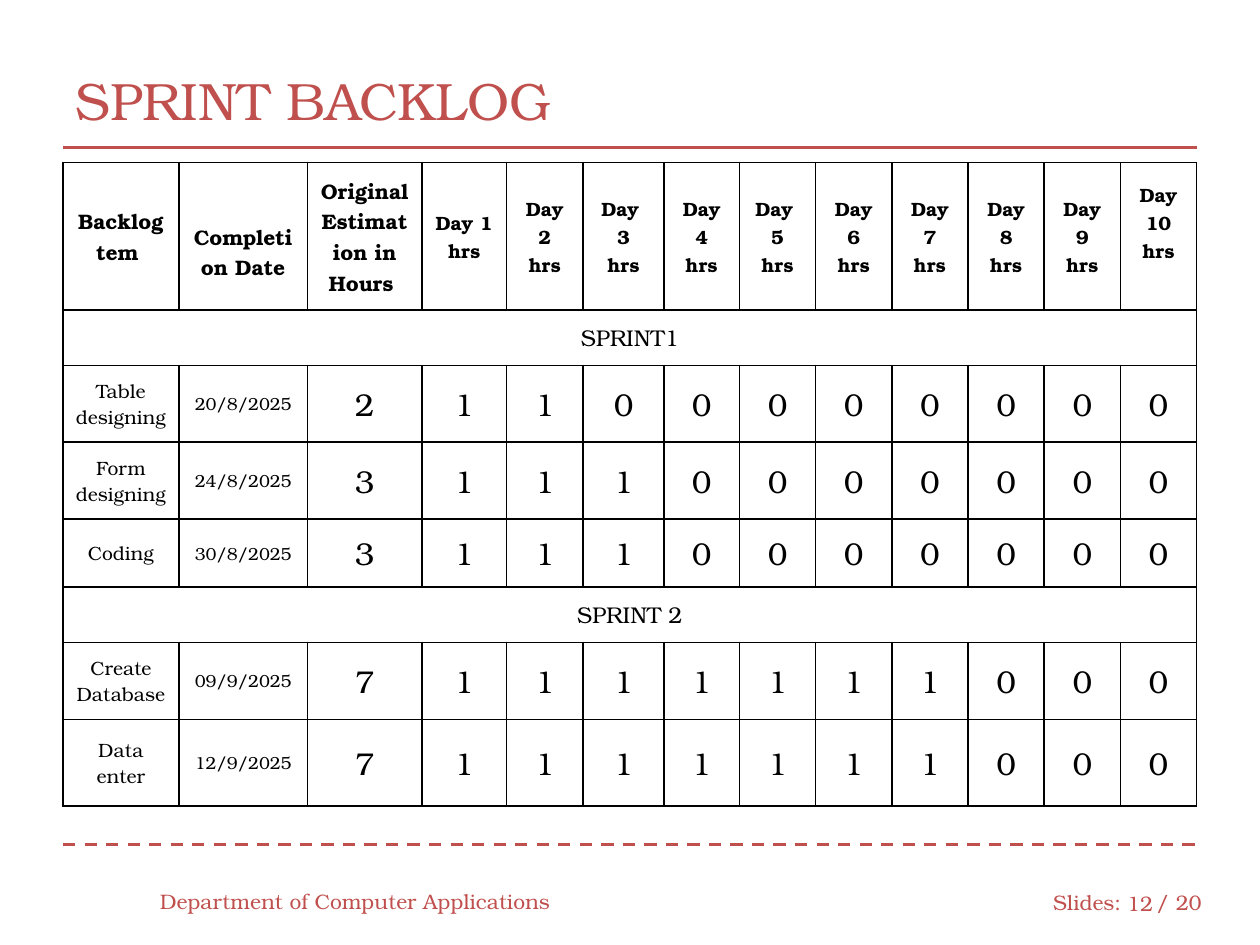
from lxml import etree
from pptx import Presentation
from pptx.dml.color import RGBColor
from pptx.enum import dml, shapes, text
from pptx.oxml.ns import qn
from pptx.util import Inches, Pt

FONT = "TeX Gyre Bonum"
RED, BLACK, WHITE = "C0504D", "000000", "FFFFFF"
DAYS = 10
LEADING_WIDTHS = [0.92, 1.02, 0.91, 0.67, 0.61, 0.64, 0.6]
EQUAL_COLUMNS = 6
ROW_HEIGHTS = [1.17, 0.44, 0.61, 0.61, 0.54, 0.44, 0.61, 0.69]
DAY_LABELS = {3: "Day \n3\nhrs", 4: "Day\n4\nhrs", 5: "Day \n5\nhrs"}
HEADINGS = ["Backlog tem ", " Completion Date", "Original Estimation in Hours "]
SPRINTS = [
    ("SPRINT1", [("Table designing", "20/8/2025", 2),
                 ("Form designing", "24/8/2025", 3),
                 ("Coding", "30/8/2025", 3)]),
    ("SPRINT 2", [("Create Database ", "09/9/2025", 7),
                  ("Data enter", "12/9/2025", 7)]),
]


def color(value):
    return RGBColor.from_string(value)


def write(frame, words, size, shade, align=text.PP_ALIGN.LEFT, bold=False):
    frame.text = words
    frame.word_wrap = True
    frame.vertical_anchor = text.MSO_ANCHOR.MIDDLE
    for para in frame.paragraphs:
        para.alignment = align
        for span in para.runs:
            span.font.name = FONT
            span.font.size = Pt(size)
            span.font.bold = bold
            span.font.color.rgb = color(shade)


def add_title(page, words, left, top, width, height):
    title = page.shapes.title
    title.left, title.top = Inches(left), Inches(top)
    title.width, title.height = Inches(width), Inches(height)
    write(title.text_frame, words, 30, RED)


def add_rule(page, left, top, width, dash=None):
    rule = page.shapes.add_connector(
        shapes.MSO_CONNECTOR.STRAIGHT,
        Inches(left), Inches(top), Inches(left + width), Inches(top))
    rule.line.color.rgb = color(RED)
    rule.line.width = Pt(1.75)
    if dash:
        rule.line.dash_style = dash
    etree.SubElement(rule._element.spPr, qn("a:effectLst"))


def add_footer(page, left, top):
    """Place the department, and the slide number between its two labels."""
    for words, x, y, width, align in [
        ("Department of Computer Applications", 0, 0, 3.33, text.PP_ALIGN.LEFT),
        ("Slides:", 7.09, 0.01, 0.75, text.PP_ALIGN.LEFT),
        ("12", 7.66, 0.02, 0.42, text.PP_ALIGN.RIGHT),
        ("/ 20", 7.91, 0.01, 0.58, text.PP_ALIGN.LEFT),
    ]:
        box = page.shapes.add_textbox(
            Inches(left + x), Inches(top + y), Inches(width), Inches(0.4))
        write(box.text_frame, words, 12, RED, align)


def style_cell(cell):
    cell.margin_left = cell.margin_right = Inches(0.1)
    cell.margin_top = cell.margin_bottom = Inches(0.1)
    properties = cell._tc.get_or_add_tcPr()
    for side in ("lnL", "lnR", "lnT", "lnB"):
        border = etree.SubElement(properties, qn(f"a:{side}"), w=str(Pt(1)))
        fill = etree.SubElement(border, qn("a:solidFill"))
        etree.SubElement(fill, qn("a:srgbClr"), val=BLACK)
    cell.fill.solid()
    cell.fill.fore_color.rgb = color(WHITE)


def write_cell(cell, words, size, bold=False):
    write(cell.text_frame, words, size, BLACK, text.PP_ALIGN.CENTER, bold)
    cell.vertical_anchor = text.MSO_ANCHOR.MIDDLE


def write_headings(table):
    days = [DAY_LABELS.get(day, f"Day {day}\nhrs") for day in range(1, DAYS + 1)]
    sizes = [12] * len(HEADINGS) + [11] * DAYS
    for column, (words, size) in enumerate(zip(HEADINGS + days, sizes)):
        write_cell(table.cell(0, column), words, size, bold=True)
    # The last heading sits half a line higher than the others.
    table.cell(0, len(sizes) - 1).margin_bottom = Inches(0.32)


def write_sprint(table, row, name, tasks):
    """Fill a sprint's band and tasks; each task takes one hour a day until done."""
    band = table.cell(row, 0)
    band.merge(table.cell(row, len(table.columns) - 1))
    write_cell(band, name, 13)
    for task_row, (task, date, estimate) in enumerate(tasks, row + 1):
        hours = [int(day <= estimate) for day in range(1, DAYS + 1)]
        sizes = [11, 10] + [18] * (DAYS + 1)
        for column, (value, size) in enumerate(zip([task, date, estimate] + hours, sizes)):
            write_cell(table.cell(task_row, column), str(value), size)
        # Slightly narrower margins keep the longest word on one line.
        task_cell = table.cell(task_row, 0)
        task_cell.margin_left = task_cell.margin_right = Inches(0.09)
    return row + 1 + len(tasks)


def add_backlog(page, left, top, width):
    equal_width = (width - sum(LEADING_WIDTHS)) / EQUAL_COLUMNS
    column_widths = LEADING_WIDTHS + [equal_width] * EQUAL_COLUMNS
    table = page.shapes.add_table(
        len(ROW_HEIGHTS), len(column_widths), Inches(left), Inches(top),
        Inches(width), Inches(sum(ROW_HEIGHTS))).table
    table.first_row = table.horz_banding = False
    for column, size in zip(table.columns, column_widths):
        column.width = Inches(size)
    for row, size in zip(table.rows, ROW_HEIGHTS):
        row.height = Inches(size)
    for cell in table.iter_cells():
        style_cell(cell)
    write_headings(table)
    row = 1
    for name, tasks in SPRINTS:
        row = write_sprint(table, row, name, tasks)


def main():
    deck = Presentation()
    deck.slide_width, deck.slide_height = Inches(10), Inches(7.5)
    page = deck.slides.add_slide(deck.slide_layouts[5])
    add_rule(page, 0.5, 6.7, 9, dml.MSO_LINE.DASH)
    add_rule(page, 0.5, 1.17, 9)
    add_title(page, "SPRINT BACKLOG", 0.5, 0.33, 9, 0.92)
    add_footer(page, 1.17, 6.95)
    add_backlog(page, 0.5, 1.29, 9)
    deck.save("out.pptx")


if __name__ == "__main__":
    main()
